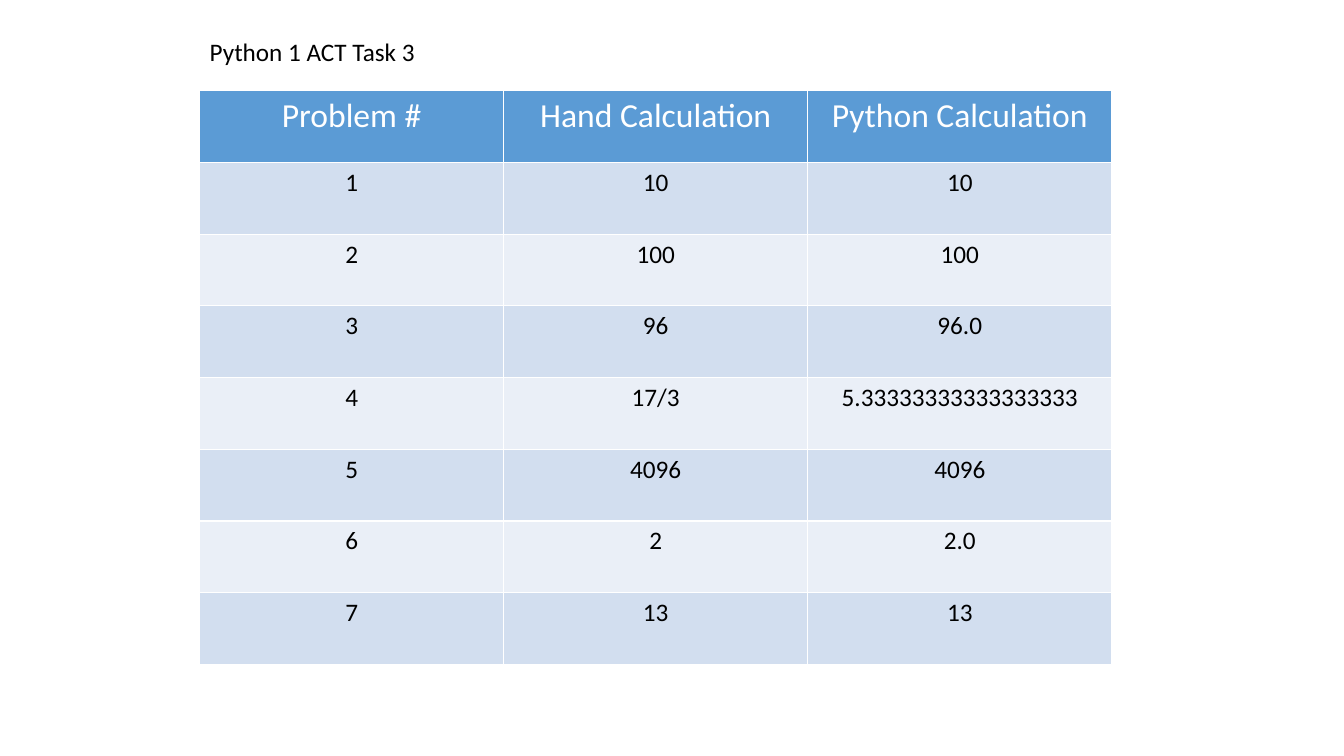
"""Build a slide that compares hand and Python calculations."""
from lxml import etree
from pptx import Presentation
from pptx import util as u
from pptx.dml import color
from pptx.enum import text
from pptx.oxml import ns

WHITE = color.RGBColor(0xFF, 0xFF, 0xFF)
BLACK = color.RGBColor(0x00, 0x00, 0x00)
HEADER_BLUE = color.RGBColor(0x5B, 0x9B, 0xD5)
BAND_DARK = color.RGBColor(0xD2, 0xDE, 0xEF)
BAND_LIGHT = color.RGBColor(0xEA, 0xEF, 0xF7)
FONT = "Calibri"

TITLE_BOX = (5.03, 0.79, 6.81, 1.02)
TABLE_BOX = (5.03, 2.29, 22.99, 14.45)
HEADINGS = ("Problem #", "Hand Calculation", "Python Calculation")
RESULTS = (
    ("10", "10"),
    ("100", "100"),
    ("96", "96.0"),
    ("17/3", "5.33333333333333333"),
    ("4096", "4096"),
    ("2", "2.0"),
    ("13", "13"),
)


def add_run(paragraph, wording, size, colour, alignment):
    """Add one formatted run and align its paragraph."""
    paragraph.alignment = alignment
    run = paragraph.add_run()
    run.text = wording
    run.font.name = FONT
    run.font.size = u.Pt(size)
    run.font.bold = False
    run.font.color.rgb = colour


def add_borders(cell, colour, width):
    """Draw a solid line on all four sides of a cell."""
    properties = cell._tc.get_or_add_tcPr()
    for side in ("lnL", "lnR", "lnT", "lnB"):
        line = etree.SubElement(properties, ns.qn(f"a:{side}"), w=str(u.Pt(width)))
        fill = etree.SubElement(line, ns.qn("a:solidFill"))
        etree.SubElement(fill, ns.qn("a:srgbClr"), val=str(colour))


def place_title(slide, box):
    """Move the title placeholder into the box and write the task name."""
    title = slide.shapes.title
    title.left, title.top, title.width, title.height = map(u.Cm, box)
    frame = title.text_frame
    frame.word_wrap = True
    frame.auto_size = text.MSO_AUTO_SIZE.SHAPE_TO_FIT_TEXT
    frame.vertical_anchor = text.MSO_ANCHOR.TOP
    add_run(frame.paragraphs[0], "Python 1 ACT Task 3", 18, BLACK, text.PP_ALIGN.LEFT)


def place_results_table(slide, box):
    """Fill the box with an even grid of headings and numbered results."""
    rows = [HEADINGS]
    rows += [(str(number), *pair) for number, pair in enumerate(RESULTS, 1)]
    table = slide.shapes.add_table(len(rows), len(HEADINGS), *map(u.Cm, box)).table
    for row_index, row in enumerate(rows):
        if row_index == 0:
            fill, size, colour = HEADER_BLUE, 24, WHITE
        else:
            fill = BAND_DARK if row_index % 2 else BAND_LIGHT
            size, colour = 18, BLACK
        for column_index, wording in enumerate(row):
            cell = table.cell(row_index, column_index)
            add_borders(cell, WHITE, 1)
            cell.fill.solid()
            cell.fill.fore_color.rgb = fill
            paragraph = cell.text_frame.paragraphs[0]
            add_run(paragraph, wording, size, colour, text.PP_ALIGN.CENTER)


def main():
    """Create and save the presentation."""
    presentation = Presentation()
    presentation.slide_width = u.Cm(33.87)
    presentation.slide_height = u.Cm(19.05)
    title_only = presentation.slide_layouts.get_by_name("Title Only")
    slide = presentation.slides.add_slide(title_only)
    place_title(slide, TITLE_BOX)
    place_results_table(slide, TABLE_BOX)
    presentation.save("out.pptx")


main()
